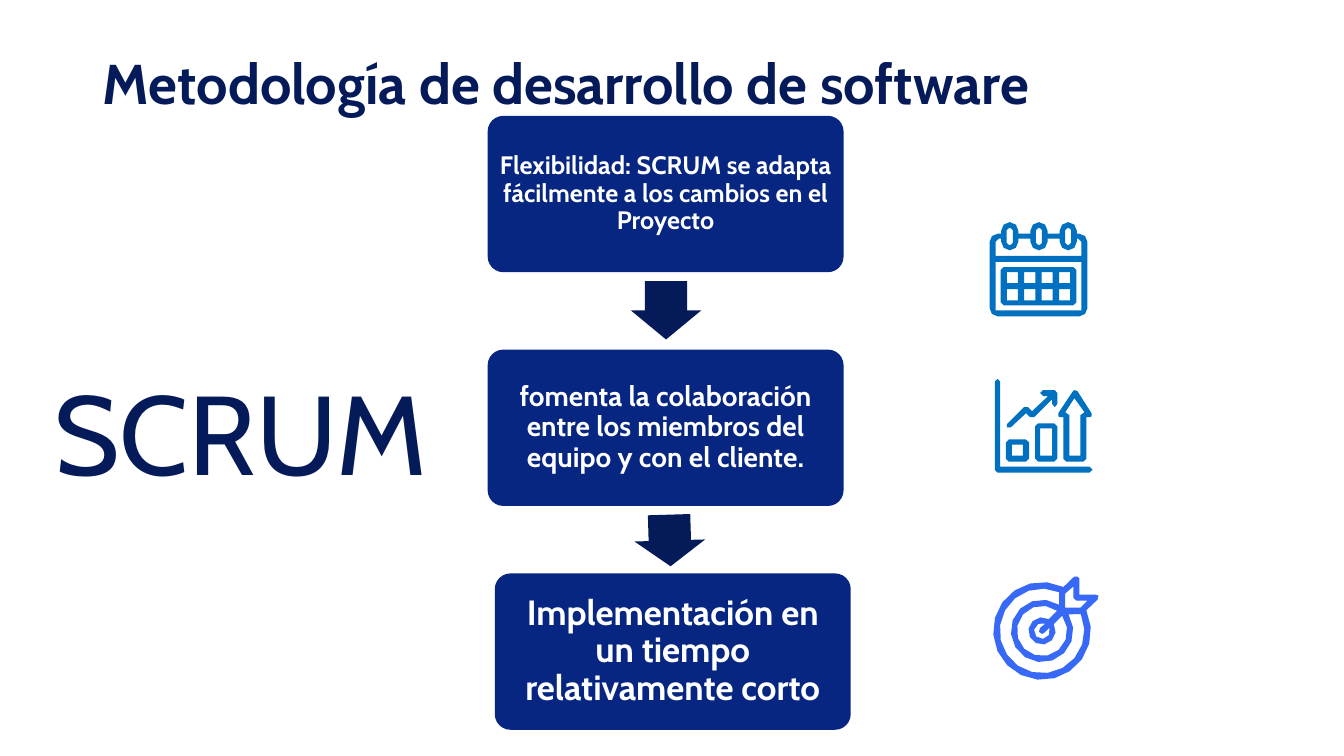
import math

import pptx
import pptx.dml.color
import pptx.enum.shapes
import pptx.enum.text
import pptx.util

Cm = pptx.util.Cm
RGBColor = pptx.dml.color.RGBColor
Shape = pptx.enum.shapes.MSO_SHAPE
Align = pptx.enum.text.PP_ALIGN
Anchor = pptx.enum.text.MSO_ANCHOR

NAVY = RGBColor(0x04, 0x1A, 0x59)
ROYAL = RGBColor(0x06, 0x26, 0x81)
SKY = RGBColor(0x00, 0x70, 0xC0)
BLUE = RGBColor(0x37, 0x69, 0xF6)
WHITE = RGBColor(0xFF, 0xFF, 0xFF)

FONT = "Cabin"
ICON_UNIT = Cm(2.54) / 100


def write_text(shape, text, size, color, bold=False, align=Align.LEFT,
               anchor=Anchor.MIDDLE, spacing=0.9, inset=(0.25, 0.13)):
    frame = shape.text_frame
    frame.word_wrap = True
    frame.auto_size = pptx.enum.text.MSO_AUTO_SIZE.NONE
    frame.vertical_anchor = anchor
    frame.margin_left = frame.margin_right = Cm(inset[0])
    frame.margin_top = frame.margin_bottom = Cm(inset[1])
    paragraph = frame.paragraphs[0]
    paragraph.alignment = align
    paragraph.line_spacing = spacing
    run = paragraph.add_run()
    run.text = text
    run.font.name = FONT
    run.font.size = pptx.util.Pt(size)
    run.font.bold = bold
    run.font.color.rgb = color


def arc(x, y, radius, start, end):
    """Points on a circle between two angles in degrees; larger circles get more."""
    steps = max(1, round(abs(end - start) * math.sqrt(radius) / 140))
    angles = [math.radians(start + (end - start) * i / steps) for i in range(steps + 1)]
    return [(x + radius * math.cos(a), y + radius * math.sin(a)) for a in angles]


def rectangle(left, top, right, bottom):
    return [(left, top), (right, top), (right, bottom), (left, bottom)]


def rounded(left, top, right, bottom, radius=3):
    return (arc(left + radius, top + radius, radius, 180, 270)
            + arc(right - radius, top + radius, radius, 270, 360)
            + arc(right - radius, bottom - radius, radius, 0, 90)
            + arc(left + radius, bottom - radius, radius, 90, 180))


def open_ring(outer, outer_start, outer_end, inner, inner_start, inner_end):
    """Ring around the target's centre, with a gap at the upper right for the dart."""
    return (arc(0, 0, outer, outer_start, outer_end - 360)
            + arc(0, 0, inner, inner_end - 360, inner_start))


class SlideBuilder:
    def __init__(self, presentation):
        self.slide = presentation.slides.add_slide(presentation.slide_layouts[5])
        self.shapes = self.slide.shapes

    def paint(self, shape, color):
        shape.shadow.inherit = False
        shape.fill.solid()
        shape.fill.fore_color.rgb = color
        shape.line.fill.background()

    def title(self, text, left, top, width, height):
        title = self.shapes.title
        title.left, title.top = Cm(left), Cm(top)
        title.width, title.height = Cm(width), Cm(height)
        write_text(title, text, 40, NAVY, bold=True)

    def preset(self, kind, color, left, top, width, height, adjustments):
        shape = self.shapes.add_shape(kind, Cm(left), Cm(top), Cm(width), Cm(height))
        self.paint(shape, color)
        for index, value in enumerate(adjustments):
            shape.adjustments[index] = value
        return shape

    def step(self, text, left, top, size, inset):
        box = self.preset(Shape.ROUNDED_RECTANGLE, ROYAL, left, top, 8.97, 3.94, [0.1])
        write_text(box, text, size, WHITE, bold=True, align=Align.CENTER,
                   inset=(inset, inset))

    def arrow(self, left, top, length, rotation):
        arrow = self.preset(Shape.RIGHT_ARROW, NAVY, left, top, length, 1.78, [0.6, 0.5])
        arrow.rotation = rotation

    def label(self, text, left, top, width, height, **style):
        box = self.shapes.add_textbox(Cm(left), Cm(top), Cm(width), Cm(height))
        write_text(box, text, **style)

    def outline(self, color, left, top, contours):
        """Filled outline in icon units; inner contours become holes."""
        builder = None
        for contour in contours:
            points = [(Cm(left) + x * ICON_UNIT, Cm(top) + y * ICON_UNIT)
                      for x, y in contour]
            if builder is None:
                builder = self.shapes.build_freeform(*points[0])
            else:
                builder.move_to(*points[0])
            builder.add_line_segments(points[1:], close=True)
        self.paint(builder.convert_to_shape(), color)

    def target_icon(self, left, top):
        dart = [(55, -31), (56, -35), (53, -36), (37, -36), (37, -52), (35, -54), (32, -54)]
        silhouette = arc(0, 0, 48.5, -64, -385) + dart
        center = arc(0, 0, 8, -65, -383) + [(2, 2), (0, 3), (-3, 1), (-2, -3)]
        feather = [(38, -23), (23, -23), (23, -37), (31, -44), (31, -33), (34, -30), (45, -30)]
        self.outline(BLUE, left, top, [
            silhouette,
            open_ring(42, -66, -23.5, 31, -57, -32),
            open_ring(25, -53, -37, 13.5, -60, -30),
            center,
            feather,
        ])

    def growth_icon(self, left, top):
        trend = [(12, 45), (29, 28), (33, 28), (37, 32), (53, 17), (48, 17), (45, 14),
                 (48, 11), (59.5, 11), (62, 14), (62, 25), (59.5, 28), (57, 25), (57, 20),
                 (39, 38), (35, 38), (31, 34), (16, 48), (12, 48)]
        up_arrow = [(65, 38), (68, 38), (68, 79), (71, 82), (88, 82), (91, 79), (91, 38),
                    (94, 38), (96, 37), (96, 34), (82, 12), (79, 11), (77, 13), (63, 34),
                    (63, 37)]
        up_arrow_hole = [(79, 19), (89, 33), (85, 36), (85, 76), (74, 76), (74, 36), (70, 33)]
        axes = ([(94, 87), (5.4, 87)] + arc(2.7, 2.7, 2.7, 0, -180)
                + arc(2.7, 90.3, 2.7, 180, 90) + arc(94, 90, 3, 90, -90))
        for contours in (
            [trend],
            [rounded(11, 60, 34, 82), rectangle(17, 65, 28, 76)],
            [rounded(40, 44, 62, 82), rectangle(45, 49, 57, 76)],
            [up_arrow, up_arrow_hole],
            [axes],
        ):
            self.outline(SKY, left, top, contours)

    def calendar_icon(self, left, top):
        rings = (20, 49, 78)
        body = arc(8, 19, 8, 180, 270)
        header = [(91, 33), (6, 33)] + arc(9, 19, 3, 180, 270)
        for x in rings:
            body += [(x - 8.5, 11)] + arc(x, 8, 8.5, 180, 360) + [(x + 8.5, 11)]
            header += [(x - 8.5, 16)] + arc(x, 19, 8.5, 180, 0) + [(x + 8.5, 16)]
        body += arc(89, 19, 8, 270, 360) + arc(89, 85, 8, 0, 90) + arc(8, 85, 8, 90, 180)
        header += arc(88, 19, 3, 270, 360)
        ring_holes = [rounded(x - 3, 5.5, x + 3, 22, radius=2) for x in rings]
        self.outline(SKY, left, top, [body, header, rectangle(6, 39, 91, 87)] + ring_holes)

        days = [rectangle(17 + 17.3 * column, y, 28 + 17.3 * column, y + 11)
                for y in (49, 66) for column in range(4)]
        self.outline(SKY, left, top, [rounded(11, 44, 86, 82)] + days)


def main():
    presentation = pptx.Presentation()
    presentation.slide_width = Cm(33.87)
    presentation.slide_height = Cm(19.05)
    builder = SlideBuilder(presentation)

    builder.title("Metodología de desarrollo de software", 2.34, 1.02, 26.54, 2.29)
    builder.step("Flexibilidad: SCRUM se adapta fácilmente a los cambios en el Proyecto",
                 12.29, 2.92, size=18, inset=0.18)
    builder.arrow(16.05, 6.93, 1.47, 90)
    builder.step("fomenta la colaboración entre los miembros del equipo y con el cliente.",
                 12.29, 8.81, size=20, inset=0.2)
    builder.arrow(16.23, 12.73, 1.3, 88.3)
    builder.step("Implementación en un tiempo relativamente corto",
                 12.47, 14.45, size=25, inset=0.25)
    builder.target_icon(26.26, 15.9)
    builder.growth_icon(25.07, 9.55)
    builder.calendar_icon(24.94, 5.61)
    builder.label("SCRUM", 0.28, 9.02, 11.58, 3.63, size=80, color=NAVY,
                  align=Align.CENTER, anchor=Anchor.TOP, spacing=1.0)

    presentation.save("out.pptx")


if __name__ == "__main__":
    main()
